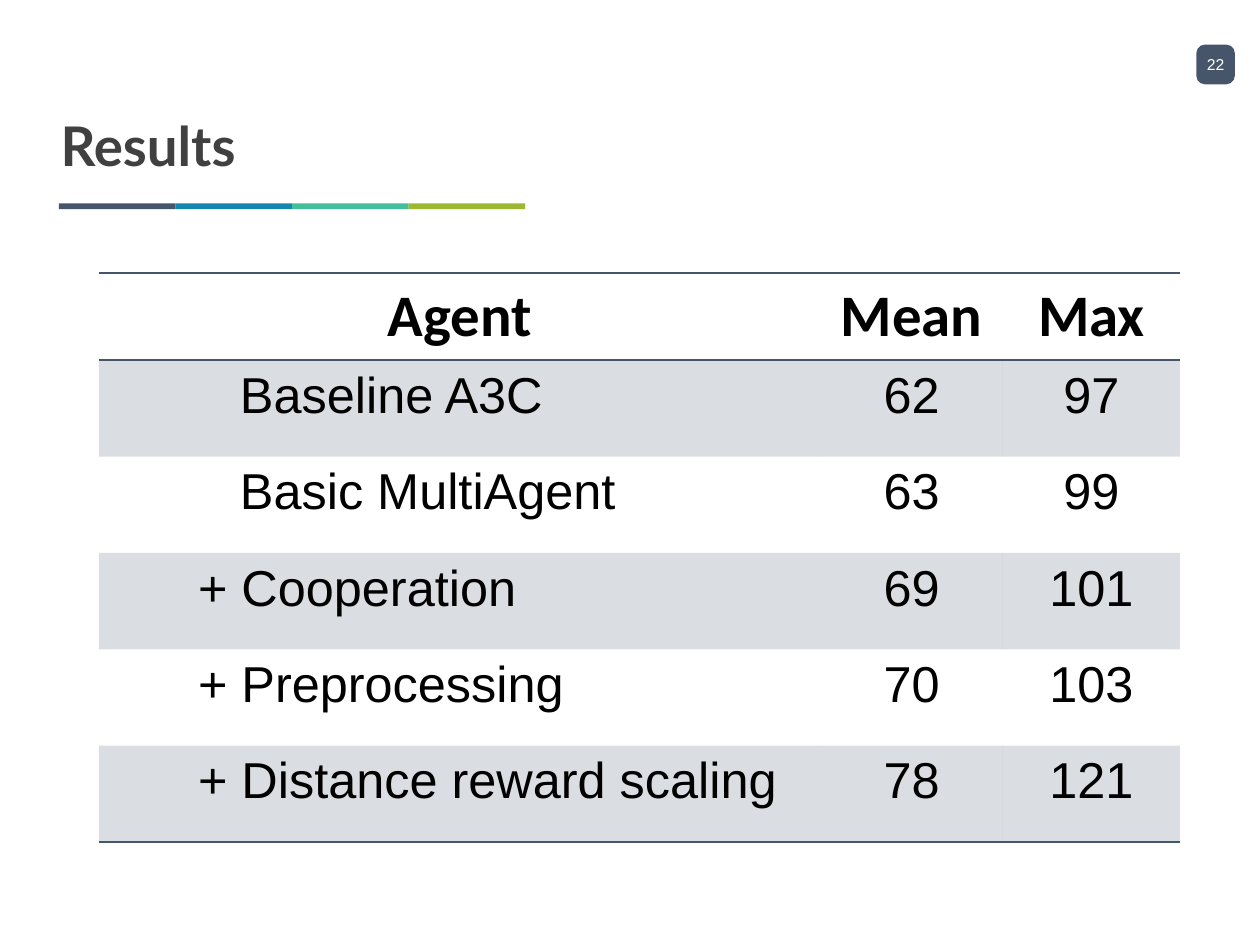
from typing import NamedTuple

from lxml import etree
from pptx import Presentation
from pptx import util as u
from pptx.dml import color
from pptx.enum import shapes, text
from pptx.oxml import ns

WIDE, HIGH = u.Inches(8.33), u.Inches(6.25)
COLS = 100
NAVY, WHITE, BLACK, GREY = "46556A", "FFFFFF", "000000", "404040"
PLAIN = "{2D5ABB26-0587-4C30-8999-92F81FD0307C}"
LEFT, MID = text.PP_ALIGN.LEFT, text.PP_ALIGN.CENTER


class Box(NamedTuple):
    x: float
    y: float
    w: float
    h: float


class Font(NamedTuple):
    face: str
    size: float
    hue: str
    bold: bool = False


class Row(NamedTuple):
    agent: str
    mean: str
    top: str
    inset: float


HEAD = Font("Calibri", 28, BLACK, True)
BODY = Font("Arial", 24, BLACK)
BARS = [NAVY, "1487B1", "44BE9B", "9CB833"]
SPANS = [57.25, 14.5, 14.05]
BASE, EXTRA = 11.2, 7.87
ROWS = [
    Row("Baseline A3C", "62", "97", BASE),
    Row("Basic MultiAgent", "63", "99", BASE),
    Row("+ Cooperation", "69", "101", EXTRA),
    Row("+ Preprocessing", "70", "103", EXTRA),
    Row("+ Distance reward scaling", "78", "121", EXTRA),
]


def grid(n: float) -> int:
    return round(WIDE * n / COLS)


def place(box: Box) -> list[int]:
    return [grid(n) for n in box]


def paint(fill, hue: str) -> None:
    fill.solid()
    fill.fore_color.rgb = color.RGBColor.from_string(hue)


def write(frame, words: str, font: Font, align=LEFT) -> None:
    para = frame.paragraphs[0]
    para.alignment = align
    run = para.add_run()
    run.text = words
    run.font.name = font.face
    run.font.size = u.Pt(font.size)
    run.font.bold = font.bold
    paint(run.font.fill, font.hue)


def block(slide, kind, box: Box, hue: str):
    shape = slide.shapes.add_shape(kind, *place(box))
    shape.shadow.inherit = False
    paint(shape.fill, hue)
    shape.line.fill.background()
    return shape


def title(slide) -> None:
    head = slide.shapes.title
    head.left, head.top, head.width, head.height = place(Box(4.8, 9.1, 74.65, 4.7))
    frame = head.text_frame
    frame.auto_size = text.MSO_AUTO_SIZE.NONE
    frame.vertical_anchor = text.MSO_ANCHOR.MIDDLE
    frame.margin_left = frame.margin_right = 0
    write(frame, "Results", Font("Lato", 26, GREY, True))


def badge(slide) -> None:
    kind = shapes.MSO_SHAPE.ROUNDED_RECTANGLE
    shape = block(slide, kind, Box(94.95, 3.55, 3.05, 3.15), NAVY)
    shape.adjustments[0] = 0.22
    frame = shape.text_frame
    frame.word_wrap = False
    frame.margin_left = frame.margin_right = 0
    frame.margin_top = frame.margin_bottom = 0
    frame.vertical_anchor = text.MSO_ANCHOR.MIDDLE
    write(frame, "22", Font("Arial", 7.5, WHITE), MID)


def rule(cell, side: str) -> None:
    line = etree.Element(ns.qn(f"a:{side}"), w=str(u.Pt(1)))
    fill = etree.SubElement(line, ns.qn("a:solidFill"))
    etree.SubElement(fill, ns.qn("a:srgbClr"), val=NAVY)
    cell._tc.get_or_add_tcPr().insert(0, line)


def tint(cell) -> None:
    paint(cell.fill, NAVY)
    hue = cell._tc.tcPr.find(".//" + ns.qn("a:srgbClr"))
    etree.SubElement(hue, ns.qn("a:alpha"), val="20000")


def scores(slide) -> None:
    lines = [Row("Agent", "Mean", "Max", 1.2), *ROWS]
    tall = [6.9] + [7.65] * len(ROWS)
    box = Box(7.85, 21.7, sum(SPANS), sum(tall))
    frame = slide.shapes.add_table(len(lines), len(SPANS), *place(box))
    table = frame.table
    table._tbl.tblPr.find(ns.qn("a:tableStyleId")).text = PLAIN
    for col, span in zip(table.columns, SPANS):
        col.width = grid(span)
    for r, line in enumerate(lines):
        table.rows[r].height = grid(tall[r])
        for c, words in enumerate(line[:3]):
            cell = table.cell(r, c)
            if r % 2:
                tint(cell)
            else:
                cell.fill.background()
            if r in (0, len(ROWS)):
                rule(cell, "lnB")
            if r == 0:
                rule(cell, "lnT")
            if c == 0:
                cell.margin_left = grid(line.inset)
            align = LEFT if r and c == 0 else MID
            write(cell.text_frame, words, BODY if r else HEAD, align)


def main() -> None:
    deck = Presentation()
    deck.slide_width, deck.slide_height = WIDE, HIGH
    slide = deck.slides.add_slide(deck.slide_layouts[5])
    badge(slide)
    for i, hue in enumerate(BARS):
        box = Box(4.68 + 9.25 * i, 16.15, 9.25, 0.45)
        block(slide, shapes.MSO_SHAPE.RECTANGLE, box, hue)
    title(slide)
    scores(slide)
    deck.save("out.pptx")


if __name__ == "__main__":
    main()
